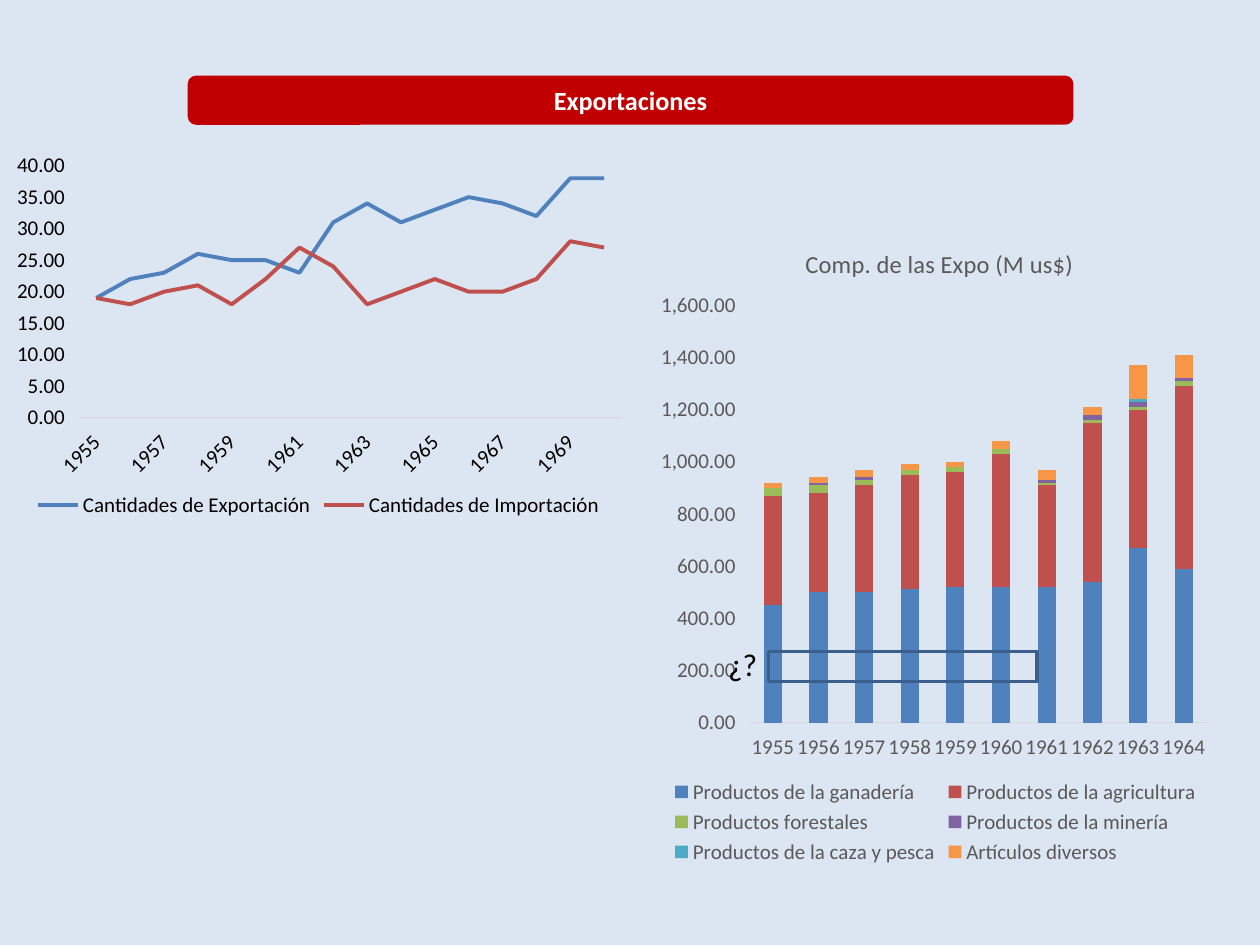
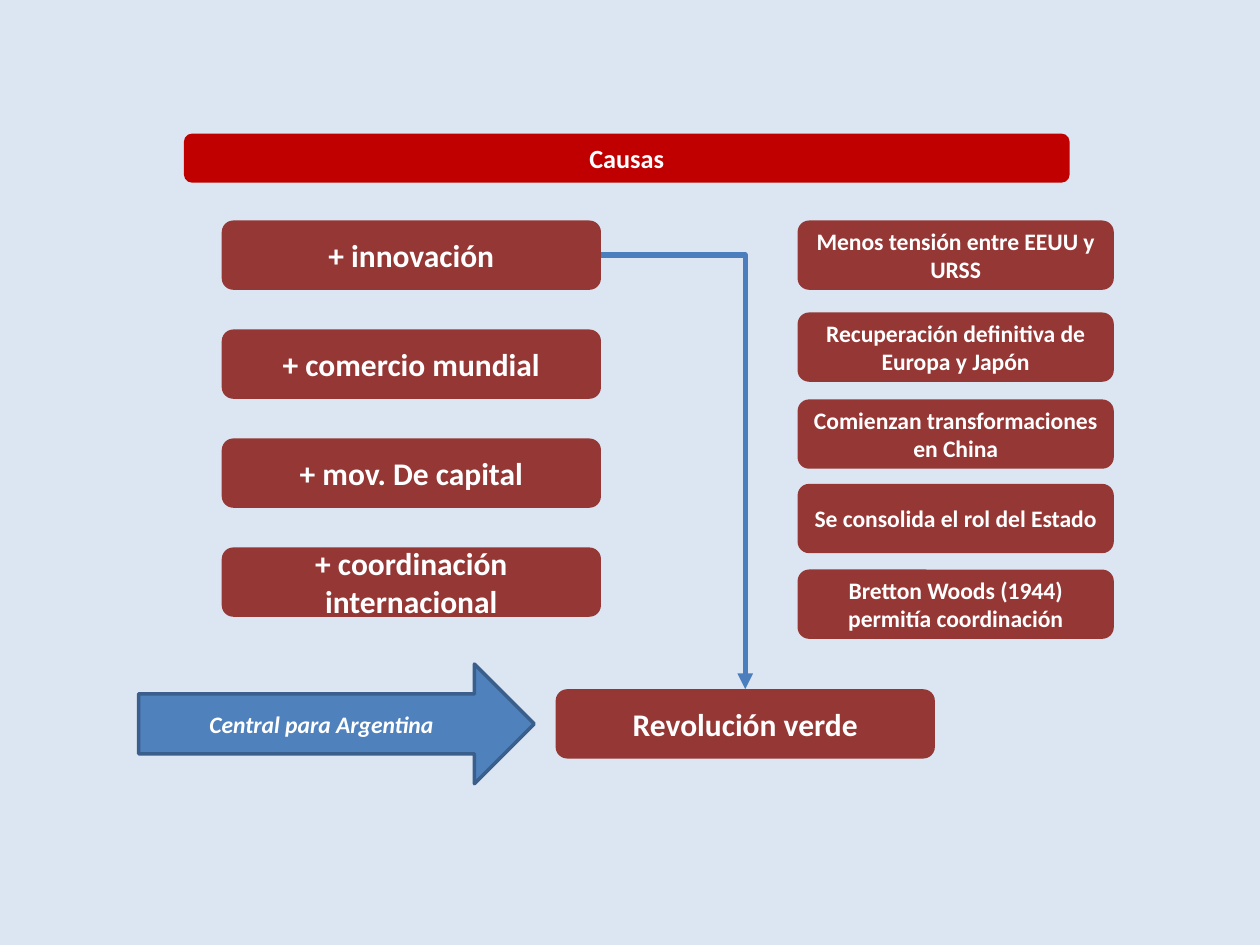
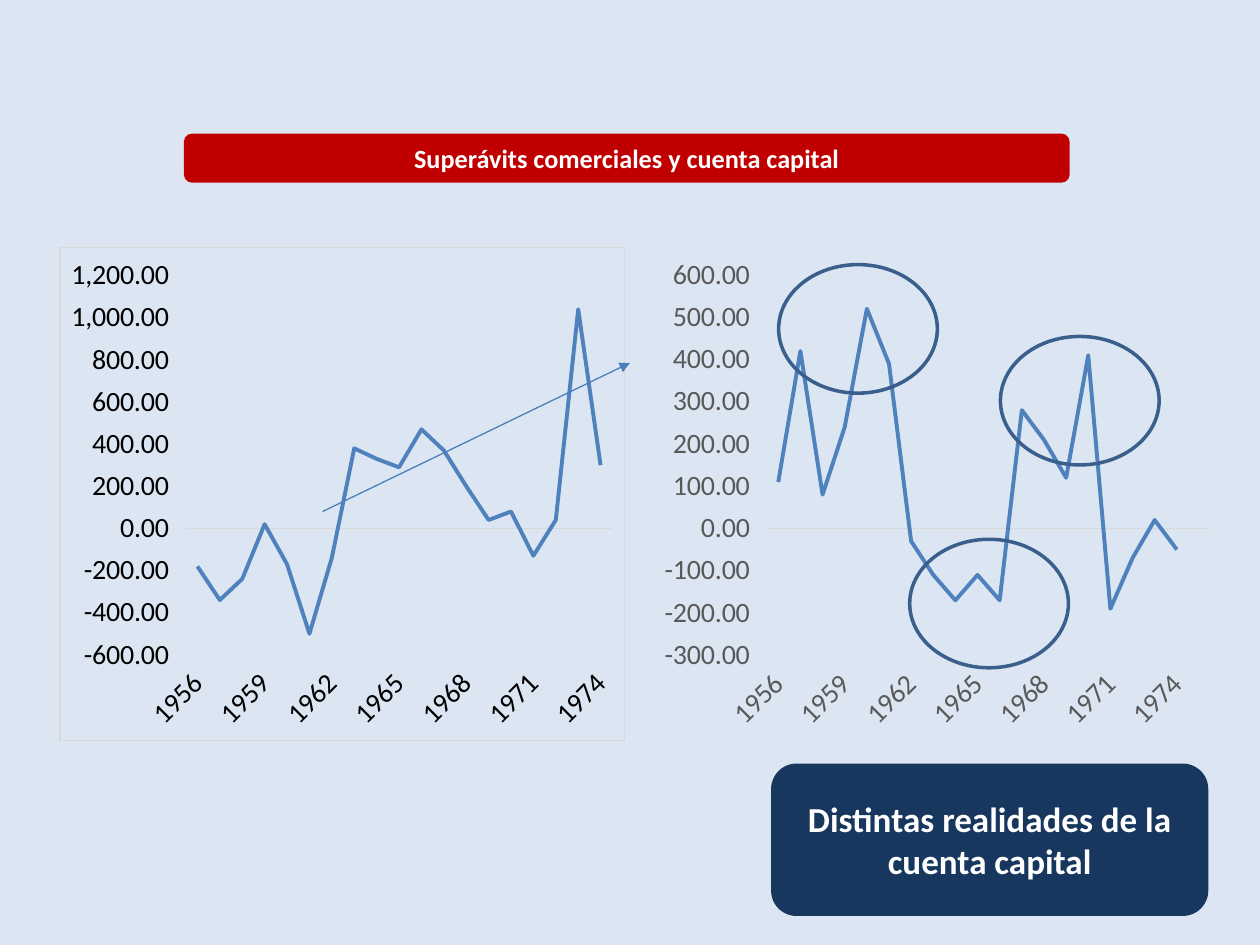
"""Three slides on exports, their causes, and trade and capital balances."""
from lxml import etree
from pptx import Presentation
from pptx.chart.data import CategoryChartData
from pptx.dml.color import RGBColor
from pptx.enum.chart import (XL_CHART_TYPE, XL_LEGEND_POSITION, XL_MARKER_STYLE,
                             XL_TICK_LABEL_POSITION, XL_TICK_MARK)
from pptx.enum.shapes import MSO_CONNECTOR, MSO_SHAPE
from pptx.enum.text import MSO_ANCHOR, MSO_AUTO_SIZE, PP_ALIGN
from pptx.oxml import parse_xml
from pptx.oxml.ns import qn
from pptx.util import Inches, Pt

LINE, STACKED = XL_CHART_TYPE.LINE_MARKERS, XL_CHART_TYPE.COLUMN_STACKED
ROUNDED, RECT, OVAL = MSO_SHAPE.ROUNDED_RECTANGLE, MSO_SHAPE.RECTANGLE, MSO_SHAPE.OVAL
ARROW = MSO_SHAPE.RIGHT_ARROW
STRAIGHT, ELBOW = MSO_CONNECTOR.STRAIGHT, MSO_CONNECTOR.ELBOW
CENTER, MIDDLE = PP_ALIGN.CENTER, MSO_ANCHOR.MIDDLE
NO_TICK, NO_MARKER = XL_TICK_MARK.NONE, XL_MARKER_STYLE.NONE
LOW, BOTTOM = XL_TICK_LABEL_POSITION.LOW, XL_LEGEND_POSITION.BOTTOM
FIT_TEXT = MSO_AUTO_SIZE.SHAPE_TO_FIT_TEXT

WIDTH, HEIGHT = 10, 7.5
FONT = "Calibri"
BACKGROUND, BAND, CAUSE, NOTE = "DCE6F2", "C00000", "953735", "17375E"
BLUE, OUTLINE, CONNECTOR = "4F81BD", "3A5F8C", "4B7EBC"
BLACK, WHITE, GREY, PALE = "000000", "FFFFFF", "595959", "D9D9D9"
PALETTE = [BLUE, "C0504D", "9BBB59", "8064A2", "4BACC6", "F79646"]
NUMBER_FORMAT = r"#,##0.00\ \ "
DRAWING = "http://schemas.openxmlformats.org/drawingml/2006/main"
CHARTS = "http://schemas.openxmlformats.org/drawingml/2006/chart"

TITLES = [
    ("Exportaciones", 1.49, 0.6),
    ("Causas", 1.46, 1.06),
    ("Superávits comerciales y cuenta capital", 1.46, 1.06),
]
TRADE = {
    "kind": LINE, "box": (0.03, 1.15, 5, 3), "plot": (0.12, 0.055, 0.86, 0.667),
    "years": (1955, 1970), "size": 12, "color": BLACK, "legend": True, "slanted": True,
    "series": {
        "Cantidades de Exportación":
            [19, 22, 23, 26, 25, 25, 23, 31, 34, 31, 33, 35, 34, 32, 38, 38],
        "Cantidades de Importación":
            [19, 18, 20, 21, 18, 22, 27, 24, 18, 20, 22, 20, 20, 22, 28, 27],
    },
}
COMPOSITION = {
    "kind": STACKED, "box": (5.16, 1.7, 4.53, 5.2), "plot": (0.175, 0.139, 0.8, 0.637),
    "years": (1955, 1964), "size": 12, "color": GREY, "legend": True,
    "title": "Comp. de las Expo (M us$)",
    "series": {
        "Productos de la ganadería": [450, 500, 500, 510, 520, 520, 520, 540, 670, 590],
        "Productos de la agricultura": [420, 380, 410, 440, 440, 510, 390, 610, 530, 700],
        "Productos forestales": [30, 30, 20, 20, 20, 20, 10, 10, 10, 20],
        "Productos de la minería": [0, 10, 10, 0, 0, 0, 10, 20, 20, 10],
        "Productos de la caza y pesca": [0, 0, 0, 0, 0, 0, 0, 0, 10, 0],
        "Artículos diversos": [20, 20, 30, 20, 20, 30, 40, 30, 130, 90],
    },
}
TRADE_BALANCE = {
    "kind": LINE, "box": (0.47, 1.96, 4.49, 3.92), "plot": (0.224, 0.057, 0.754, 0.77),
    "years": (1956, 1974), "size": 16, "color": BLACK, "slanted": True, "border": True,
    "series": {"Series 1": [-180, -340, -240, 20, -170, -500, -140, 380, 330, 290,
                            470, 370, 200, 40, 80, -130, 40, 1040, 300]},
}
CAPITAL_ACCOUNT = {
    "kind": LINE, "box": (5.2, 1.96, 4.49, 3.92), "plot": (0.198, 0.057, 0.783, 0.77),
    "years": (1956, 1975), "size": 16, "color": GREY, "slanted": True,
    "series": {"Series 1": [110, 420, 80, 240, 520, 390, -30, -110, -170, -110,
                            -170, 280, 210, 120, 410, -190, -70, 20, -50, None]},
}
FACTORS = ["+ innovación", "+ comercio mundial", "+ mov. De capital",
           "+ coordinación internacional"]
CONTEXT = [
    (1.75, "Menos tensión entre EEUU y URSS"),
    (2.48, "Recuperación definitiva de Europa y Japón"),
    (3.17, "Comienzan transformaciones en China"),
    (3.84, "Se consolida el rol del Estado"),
    (4.52, "Bretton Woods (1944) permitía coordinación"),
]
FACTOR_LEFT, FACTOR_TOP, FACTOR_STEP = 1.76, 1.75, 0.865
FACTOR_WIDTH, CAUSE_HEIGHT = 3.01, 0.55
REVOLUTION = (4.41, 5.47)
PHASES = [(6.18, 2.1), (7.22, 4.28), (7.94, 2.67)]


def rgb(value):
    return RGBColor.from_string(value)


def inches(values):
    return [Inches(value) for value in values]


def style_font(font, size, color, **extra):
    font.color.rgb = rgb(color)
    for key, value in {"name": FONT, "size": Pt(size), **extra}.items():
        setattr(font, key, value)


def style_line(line, color, width):
    line.color.rgb = rgb(color)
    line.width = Pt(width)


def add_figure(slide, preset, box, fill=None, outline=None, text="", size=15, **extra):
    figure = slide.shapes.add_shape(preset, *inches(box))
    figure.shadow.inherit = False
    if fill:
        figure.fill.solid()
        figure.fill.fore_color.rgb = rgb(fill)
    else:
        figure.fill.background()
    if outline:
        style_line(figure.line, outline, 2)
    else:
        figure.line.fill.background()
    if text:
        frame = figure.text_frame
        frame.word_wrap, frame.vertical_anchor = True, MIDDLE
        paragraph = frame.paragraphs[0]
        paragraph.alignment = CENTER
        run = paragraph.add_run()
        run.text = text
        style_font(run.font, size, WHITE, bold=True, **extra)


def add_arrow(slide, kind, start, end, width):
    arrow = slide.shapes.add_connector(kind, *inches(start + end))
    style_line(arrow.line, CONNECTOR, width)
    properties = arrow._element.spPr
    if kind == ELBOW:
        properties.find(qn("a:prstGeom")).set("prst", "bentConnector2")
    etree.SubElement(properties.find(qn("a:ln")), qn("a:tailEnd"), type="triangle")
    etree.SubElement(properties, qn("a:effectLst"))


def place(parent, shares, inner=False):
    """Give a chart part a manual layout in shares of the chart."""
    layout = parent.find(qn("c:layout"))
    if layout is None:
        layout = etree.Element(qn("c:layout"))
        text = parent.find(qn("c:tx"))
        if text is None:
            parent.insert(0, layout)
        else:
            text.addnext(layout)
    manual = etree.SubElement(layout, qn("c:manualLayout"))
    if inner:
        etree.SubElement(manual, qn("c:layoutTarget"), val="inner")
    for mode in ("xMode", "yMode"):
        etree.SubElement(manual, qn(f"c:{mode}"), val="edge")
    for key, share in zip("xywh", shares):
        etree.SubElement(manual, qn(f"c:{key}"), val=str(share))


def clear_area(border=False):
    edge = f'<a:solidFill><a:srgbClr val="{PALE}"/></a:solidFill>' if border else "<a:noFill/>"
    return parse_xml(f'<c:spPr xmlns:c="{CHARTS}" xmlns:a="{DRAWING}"><a:noFill/>'
                     f'<a:ln w="{Pt(0.75)}">{edge}</a:ln></c:spPr>')


def style_axes(chart, content):
    for axis in (chart.category_axis, chart.value_axis):
        axis.major_tick_mark = axis.minor_tick_mark = NO_TICK
        axis.has_major_gridlines = False
        style_font(axis.tick_labels.font, content["size"], content["color"])
    years, values = chart.category_axis, chart.value_axis
    style_line(years.format.line, PALE, 0.75)
    years.tick_label_position = LOW
    if content.get("slanted"):
        years._element.find(qn("c:txPr")).find(qn("a:bodyPr")).set("rot", "-2700000")
    values.format.line.fill.background()
    values.tick_labels.number_format = NUMBER_FORMAT
    values.tick_labels.number_format_is_linked = False


def style_series(chart, kind):
    plot = chart.plots[0]
    plot.vary_by_categories = False
    if kind == STACKED:
        plot.gap_width, plot.overlap = 150, 100
    for series, color in zip(plot.series, PALETTE):
        if kind == STACKED:
            series.format.fill.solid()
            series.format.fill.fore_color.rgb = rgb(color)
        else:
            style_line(series.format.line, color, 2.25)
            series.marker.style = NO_MARKER
            series.smooth = False


def add_graph(slide, content):
    first, last = content["years"]
    data = CategoryChartData()
    data.categories = [str(year) for year in range(first, last + 1)]
    for name, values in content["series"].items():
        data.add_series(name, values)
    chart = slide.shapes.add_chart(content["kind"], *inches(content["box"]), data).chart
    style_font(chart.font, content["size"], content["color"])
    style_axes(chart, content)
    style_series(chart, content["kind"])
    chart.has_legend = content.get("legend", False)
    if chart.has_legend:
        chart.legend.position = BOTTOM
        chart.legend.include_in_layout = False
        style_font(chart.legend.font, content["size"], content["color"])
    chart.has_title = "title" in content
    if chart.has_title:
        frame = chart.chart_title.text_frame
        frame.text = content["title"]
        style_font(frame.paragraphs[0].runs[0].font, 14, GREY, bold=False)
        place(chart.chart_title._element, (0.264, 0.043))
    space = chart._chartSpace
    area = space.chart.plotArea
    place(area, content["plot"], inner=True)
    area.append(clear_area())
    space.chart.addnext(clear_area(content.get("border", False)))


def fill_exports(slide):
    add_graph(slide, TRADE)
    add_graph(slide, COMPOSITION)
    add_figure(slide, RECT, (6.1, 5.17, 2.13, 0.24), outline=OUTLINE)
    doubt = slide.shapes.add_textbox(*inches((5.68, 5.07, 0.44, 0.4))).text_frame
    doubt.word_wrap, doubt.auto_size = False, FIT_TEXT
    run = doubt.paragraphs[0].add_run()
    run.text = "¿?"
    style_font(run.font, 18, BLACK)


def fill_causes(slide):
    factor_size = (FACTOR_WIDTH, CAUSE_HEIGHT)
    for row, factor in enumerate(FACTORS):
        corner = (FACTOR_LEFT, FACTOR_TOP + row * FACTOR_STEP)
        add_figure(slide, ROUNDED, corner + factor_size, CAUSE, text=factor, size=18)
    for top, event in CONTEXT:
        add_figure(slide, ROUNDED, (6.33, top, 2.51, CAUSE_HEIGHT), CAUSE, text=event, size=13.5)
    add_figure(slide, ARROW, (1.1, 5.27, 3.14, 0.95), BLUE, OUTLINE,
               "Central para Argentina", 13.5, italic=True)
    add_figure(slide, ROUNDED, REVOLUTION + factor_size, CAUSE, text="Revolución verde", size=18)
    start = (FACTOR_LEFT + FACTOR_WIDTH, FACTOR_TOP + CAUSE_HEIGHT / 2)
    end = (REVOLUTION[0] + FACTOR_WIDTH / 2, REVOLUTION[1])
    add_arrow(slide, ELBOW, start, end, 3)


def fill_balances(slide):
    add_graph(slide, TRADE_BALANCE)
    add_graph(slide, CAPITAL_ACCOUNT)
    for corner in PHASES:
        add_figure(slide, OVAL, corner + (1.26, 1.02), outline=OUTLINE)
    add_arrow(slide, STRAIGHT, (2.56, 4.06), (5, 2.88), 0.75)
    add_figure(slide, ROUNDED, (6.12, 6.06, 3.47, 1.21), NOTE,
               text="Distintas realidades de la cuenta capital", size=20)


def main():
    deck = Presentation()
    deck.slide_width, deck.slide_height = inches((WIDTH, HEIGHT))
    for (title, left, top), fill in zip(TITLES, (fill_exports, fill_causes, fill_balances)):
        slide = deck.slides.add_slide(deck.slide_layouts[6])
        slide.background.fill.solid()
        slide.background.fill.fore_color.rgb = rgb(BACKGROUND)
        add_figure(slide, ROUNDED, (left, top, 7.03, 0.39), BAND, text=title)
        fill(slide)
    deck.save("out.pptx")


if __name__ == "__main__":
    main()
